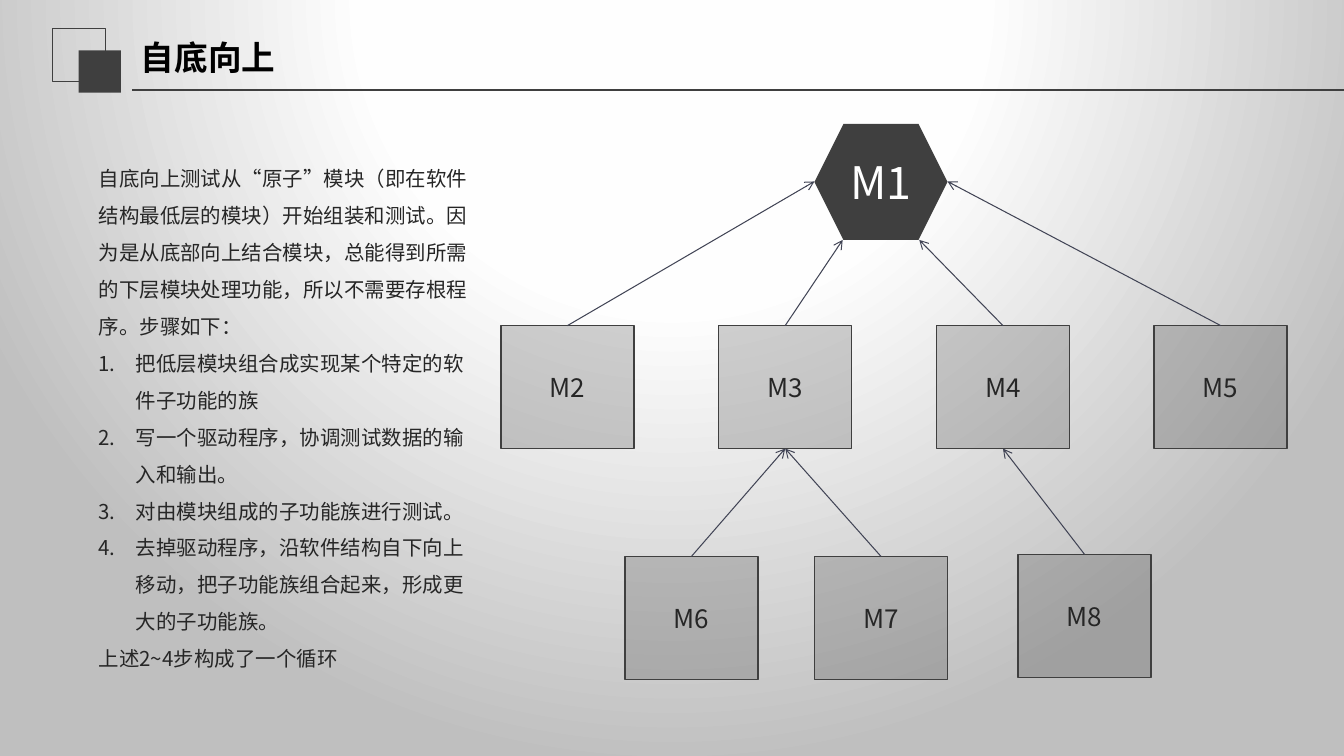
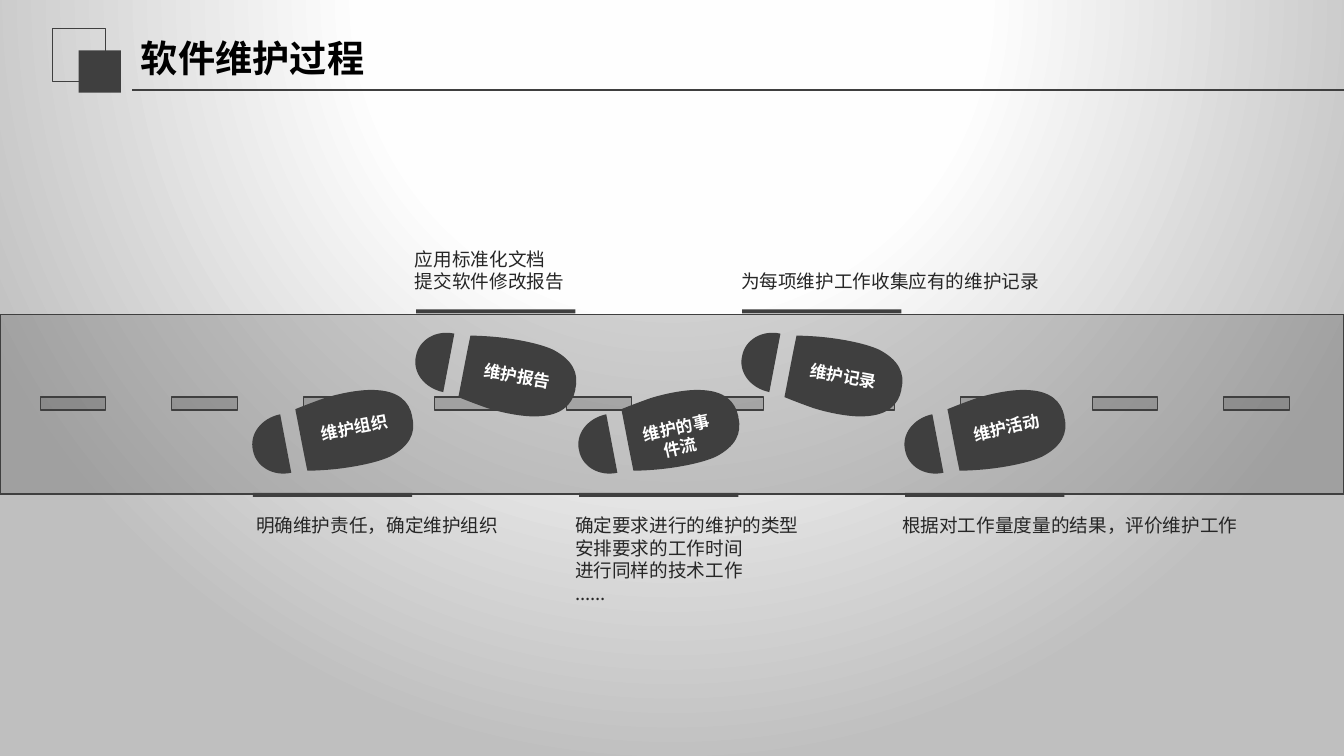
from dataclasses import dataclass

from lxml.etree import SubElement
from pptx import Presentation
from pptx.dml.color import RGBColor as RGB
from pptx.enum.shapes import MSO_CONNECTOR as LINE, MSO_SHAPE as SHAPE
from pptx.enum.text import MSO_ANCHOR as ANCHOR, PP_ALIGN as ALIGN
from pptx.oxml import parse_xml
from pptx.oxml.ns import nsdecls, qn
from pptx.util import Emu, Pt

EMU_PER_PX = 9144
SLIDE_W, SLIDE_H = 1333.33, 750


@dataclass(frozen=True)
class Theme:
    dark: RGB = RGB(0x3F, 0x3F, 0x3F)
    ink: RGB = RGB(0x26, 0x26, 0x26)
    black: RGB = RGB(0, 0, 0)
    white: RGB = RGB(0xFF, 0xFF, 0xFF)
    arrow: RGB = RGB(0x41, 0x44, 0x55)
    backdrop: tuple = ((0, "FFFFFF"), (40, "FEFEFE"), (100, "BFBFBF"))
    glass: int = 24
    font: str = "Noto Sans CJK SC"
    title_font: str = "Calibri"
    root_size: float = 32
    module_size: float = 18.6
    body_size: float = 14.6
    caption_size: float = 13.3
    label_size: float = 12


THEME = Theme()


def px(length):
    return Emu(round(length * EMU_PER_PX))


def write(shape, lines, *, size, color=THEME.ink, font=THEME.font, bold=False,
          align=ALIGN.LEFT, anchor=ANCHOR.TOP, pitch=None, inset=None):
    """Fill a shape with one paragraph per line; pitch is the line height in points."""
    frame = shape.text_frame
    frame.word_wrap = True
    frame.vertical_anchor = anchor
    if inset is not None:
        frame.margin_left = frame.margin_right = px(inset)
        frame.margin_top = frame.margin_bottom = px(inset)
    for i, line in enumerate(lines):
        para = frame.add_paragraph() if i else frame.paragraphs[0]
        para.alignment = align
        if pitch:
            para.line_spacing = Pt(pitch)
        run = para.add_run()
        run.text = line
        run.font.size, run.font.bold, run.font.name = Pt(size), bold, font
        run.font.color.rgb = color
        SubElement(run.font._element, qn("a:ea"), typeface=THEME.font)
    return frame


def text_box(slide, x, y, w, h, lines, *, rotation=0, **style):
    area = slide.shapes.add_textbox(px(x), px(y), px(w), px(h))
    area.rotation = rotation
    return write(area, lines, **style)


def paint(shape, *, fill=THEME.dark, alpha=None, line=None):
    shape.shadow.inherit = False
    if fill is None:
        shape.fill.background()
    else:
        shape.fill.solid()
        shape.fill.fore_color.rgb = fill
    if alpha is not None:
        color = shape._element.spPr.find(f"{qn('a:solidFill')}/{qn('a:srgbClr')}")
        SubElement(color, qn("a:alpha"), val=str(alpha * 1000))
    if line is None:
        shape.line.fill.background()
    else:
        shape.line.color.rgb = THEME.dark
        shape.line.width = Pt(line)
    return shape


def block(slide, x, y, w, h, *, kind=SHAPE.RECTANGLE, **look):
    return paint(slide.shapes.add_shape(kind, px(x), px(y), px(w), px(h)), **look)


def glass_block(slide, x, y, w, h):
    return block(slide, x, y, w, h, alpha=THEME.glass, line=1)


def straight(slide, x1, y1, x2, y2, *, color, width, arrow=False):
    stroke = slide.shapes.add_connector(LINE.STRAIGHT, px(x1), px(y1), px(x2), px(y2))
    stroke.line.color.rgb = color
    stroke.line.width = Pt(width)
    if arrow:
        SubElement(stroke.line._get_or_add_ln(), qn("a:tailEnd"), type="arrow")
    SubElement(stroke._element.spPr, qn("a:effectLst"))
    return stroke


def set_backdrop(master):
    """Give the master the radial gradient that all slides inherit."""
    master.background.fill.solid()
    props = master.element.cSld.find(f"{qn('p:bg')}/{qn('p:bgPr')}")
    stops = "".join(f'<a:gs pos="{pos * 1000}"><a:srgbClr val="{color}"/></a:gs>'
                    for pos, color in THEME.backdrop)
    gradient = parse_xml(
        f'<a:gradFill {nsdecls("a")} rotWithShape="1"><a:gsLst>{stops}</a:gsLst>'
        '<a:path path="circle"><a:fillToRect l="50000" t="-80000" r="50000" b="180000"/>'
        '</a:path></a:gradFill>')
    props.replace(props.find(qn("a:solidFill")), gradient)


def set_header(layout, slide):
    """Draw the squares and the rule on the slide, then move them to its layout."""
    for holder in list(layout.placeholders):
        holder._element.getparent().remove(holder._element)
    marks = [block(slide, 52, 28, 53, 53, fill=None, line=0.75),
             block(slide, 78, 50, 42, 42),
             straight(slide, 131, 89, SLIDE_W, 89, color=THEME.dark, width=1.25)]
    for mark in marks:
        layout.shapes._spTree.append(mark._element)


def add_title(slide, title, size):
    text_box(slide, 130, 28, 474, 58, [title], size=size, font=THEME.title_font,
             color=THEME.black, bold=True, anchor=ANCHOR.MIDDLE)


INTRO = ("自底向上测试从“原子”模块（即在软件结构最低层的模块）开始组装和测试。"
         "因为是从底部向上结合模块，总能得到所需的下层模块处理功能，"
         "所以不需要存根程序。步骤如下：")
STEPS = ["把低层模块组合成实现某个特定的软件子功能的族",
         "写一个驱动程序，协调测试数据的输入和输出。",
         "对由模块组成的子功能族进行测试。",
         "去掉驱动程序，沿软件结构自下向上移动，把子功能族组合起来，形成更大的子功能族。"]
CLOSING = "上述2~4步构成了一个循环"


def steps_text(slide, x, y, w, h):
    frame = text_box(slide, x, y, w, h, [INTRO, *STEPS, CLOSING],
                     size=THEME.body_size, pitch=26.35)
    for step in frame.paragraphs[1:-1]:
        props = step._p.get_or_add_pPr()
        props.set("marL", str(px(37)))
        props.set("indent", str(-px(37)))
        SubElement(props, qn("a:buFont"), typeface="+mj-lt")
        SubElement(props, qn("a:buAutoNum"), type="arabicPeriod")


def module_tree(slide, x, y):
    """Draw modules M1 to M8 with the arrows that lead up to their parents."""
    w, h, root_h, column = 132, 122, 115, 216
    root_x, corner = x + 311, root_h // 4
    middle, bottom = y + root_h // 2, y + root_h
    root = block(slide, root_x, y, w, root_h, kind=SHAPE.HEXAGON)
    write(root, ["M1"], size=THEME.root_size, color=THEME.white,
          align=ALIGN.CENTER, anchor=ANCHOR.MIDDLE)

    places = {f"M{i + 2}": (i * column, 200) for i in range(4)}
    places |= {"M6": (123, 429), "M7": (311, 429), "M8": (513, 427)}
    modules = {}
    for name, (left, top) in places.items():
        modules[name] = glass_block(slide, x + left, y + top, w, h)
        write(modules[name], [name], size=THEME.module_size,
              align=ALIGN.CENTER, anchor=ANCHOR.MIDDLE)

    root_ends = {"M2": (root_x, middle), "M3": (root_x + corner, bottom),
                 "M4": (root_x + w - corner, bottom), "M5": (root_x + w, middle)}
    parents = {"M6": "M3", "M7": "M3", "M8": "M4"}
    for name, (left, top) in places.items():
        if name in root_ends:
            end = root_ends[name]
        else:
            parent_left, parent_top = places[parents[name]]
            end = (x + parent_left + w // 2, y + parent_top + h)
        arrow = straight(slide, x + left + w // 2, y + top, *end,
                         color=THEME.arrow, width=0.75, arrow=True)
        arrow.begin_connect(modules[name], 0)
        if name in parents:
            arrow.end_connect(modules[parents[name]], 2)


FOOT_H = 83
HEEL = ((28, 59), [((9, 55), (-3, 39), (1, 23)), ((4, 7), (21, -3), (39, 1)),
                   ((39, 1), (28, 59), (28, 59))])
SOLE = ((43, 64), [((43, 64), (55, 69), (72, 75)), ((88, 80), (109, 84), (123, 83)),
                   ((145, 82), (156, 72), (159, 57)), ((159, 56), (159, 56), (159, 56)),
                   ((163, 40), (156, 27), (137, 17)), ((124, 11), (103, 7), (86, 5)),
                   ((69, 3), (55, 3), (55, 3)), ((50, 27), (47, 44), (43, 64))])


def curved_shape(slide, start, curves):
    """Build a freeform through the curve ends, then bend its sides to cubic curves."""
    builder = slide.shapes.build_freeform(*start, scale=1.0)
    builder.add_line_segments([curve[-1] for curve in curves], close=True)
    shape = builder.convert_to_shape()
    for side, curve in zip(list(shape._element.iter(qn("a:lnTo"))), curves):
        bend = SubElement(side.getparent(), qn("a:cubicBezTo"))
        for x, y in curve:
            SubElement(bend, qn("a:pt"), x=str(x - shape.left), y=str(y - shape.top))
        side.getparent().replace(side, bend)
    return paint(shape)


def footprint(slide, x, y, mirrored):
    def place(point):
        dx, dy = point
        return px(x + dx), px(y + (FOOT_H - dy if mirrored else dy))

    parts = [curved_shape(slide, place(start), [[place(p) for p in c] for c in curves])
             for start, curves in (HEEL, SOLE)]
    slide.shapes.add_group_shape(parts)


def road(slide, x, y, w, h):
    surface = glass_block(slide, x, y, w, h)
    dashes = [glass_block(slide, x + 40 + 1174 * i / 9, y + 82, 65, 13)
              for i in range(10)]
    slide.shapes.add_group_shape([surface, *dashes])


# label, label rotation, caption shift, caption lines
STAGES = [
    ("维护组织", -11.1, 4, ["明确维护责任，确定维护组织"]),
    ("维护报告", 9.9, 0, ["应用标准化文档", "提交软件修改报告"]),
    ("维护的事件流", -12.4, -3, ["确定要求进行的维护的类型", "安排要求的工作时间",
                           "进行同样的技术工作", "......"]),
    ("维护记录", 10.5, 0, ["为每项维护工作收集应有的维护记录"]),
    ("维护活动", -13.1, -2, ["根据对工作量度量的结果，评价维护工作"]),
]


def stage(slide, x, road_y, below, label, rotation, shift, caption):
    """Place one footprint with its label, edge bar and caption beside the road."""
    foot_y = road_y + (75 if below else 18)
    long_label = len(label) > 4
    footprint(slide, x, foot_y, mirrored=below)
    block(slide, x + 1, road_y + (177 if below else -5), 158, 4)
    text_box(slide, x + (51 if long_label else 53), foot_y + (22 if below else 28), 97,
             50 if long_label else 30, [label], rotation=rotation,
             size=THEME.label_size, color=THEME.white, bold=True,
             align=ALIGN.CENTER, pitch=14.4)
    text_box(slide, x + shift, road_y + (198 if below else -112), 364, 90, caption,
             size=THEME.caption_size, pitch=16.1, inset=0,
             anchor=ANCHOR.TOP if below else ANCHOR.BOTTOM)


def main():
    prs = Presentation()
    prs.slide_width, prs.slide_height = px(SLIDE_W), px(SLIDE_H)
    blank = prs.slide_layouts[6]
    set_backdrop(prs.slide_master)
    bottom_up, maintenance = (prs.slides.add_slide(blank) for _ in range(2))
    set_header(blank, bottom_up)

    add_title(bottom_up, "自底向上", 24)
    steps_text(bottom_up, 88, 148, 392, 524)
    module_tree(bottom_up, 497, 123)

    add_title(maintenance, "软件维护过程", 26.6)
    road_y = 312
    road(maintenance, 0, road_y, SLIDE_W, 178)
    for i, content in enumerate(STAGES):
        stage(maintenance, 250 + 647 * i / 4, road_y, i % 2 == 0, *content)

    prs.save("out.pptx")


if __name__ == "__main__":
    main()
